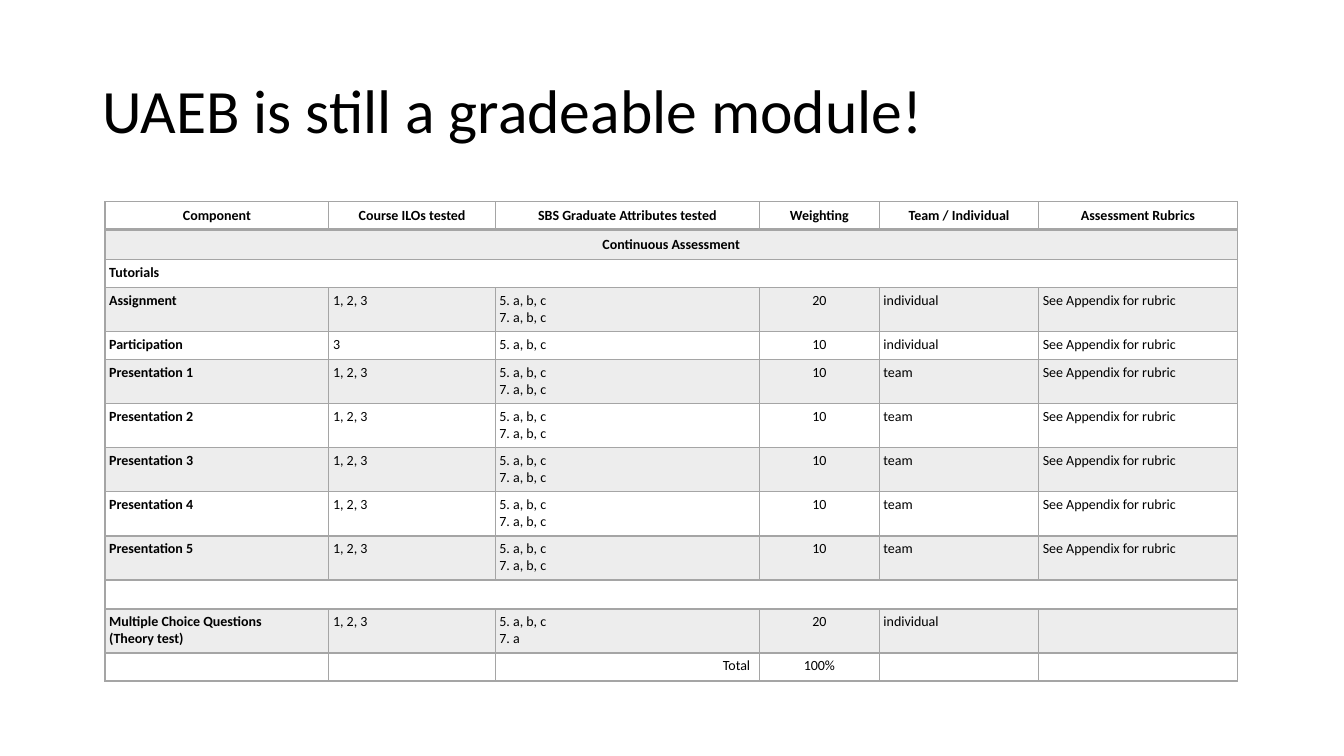
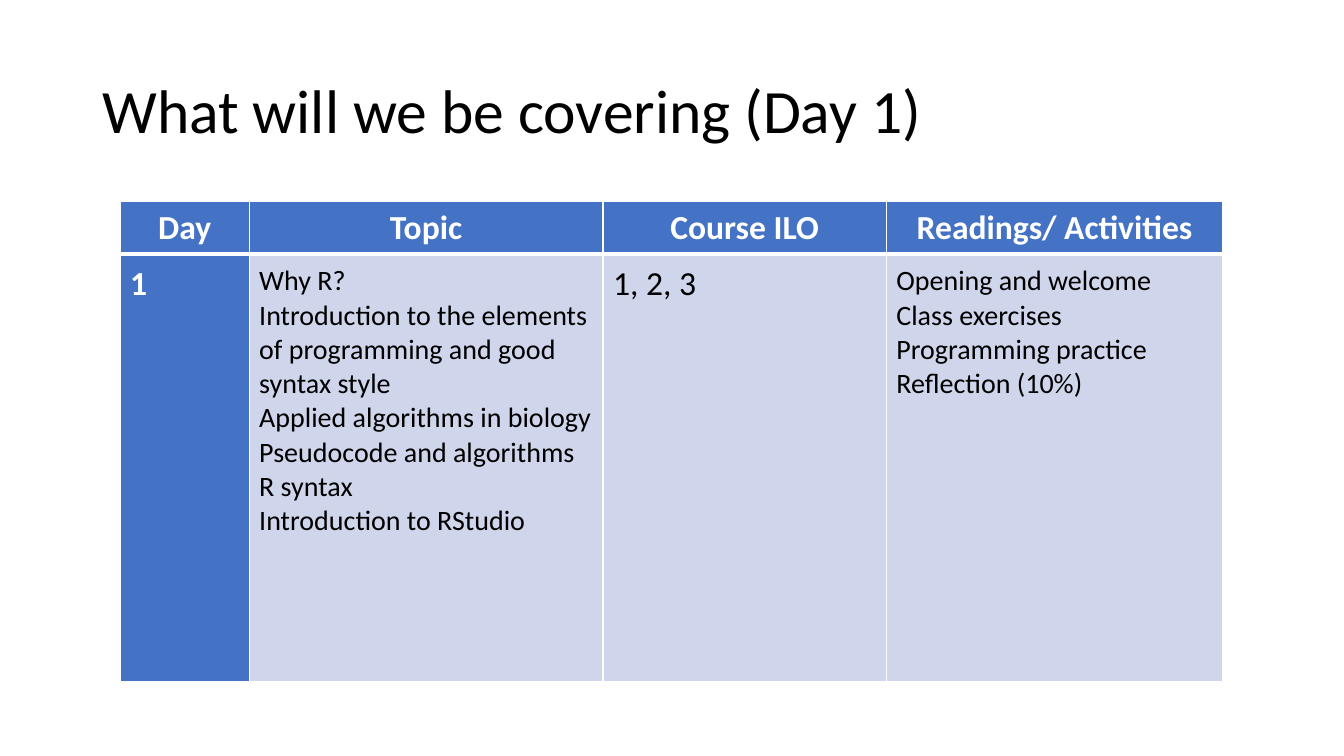
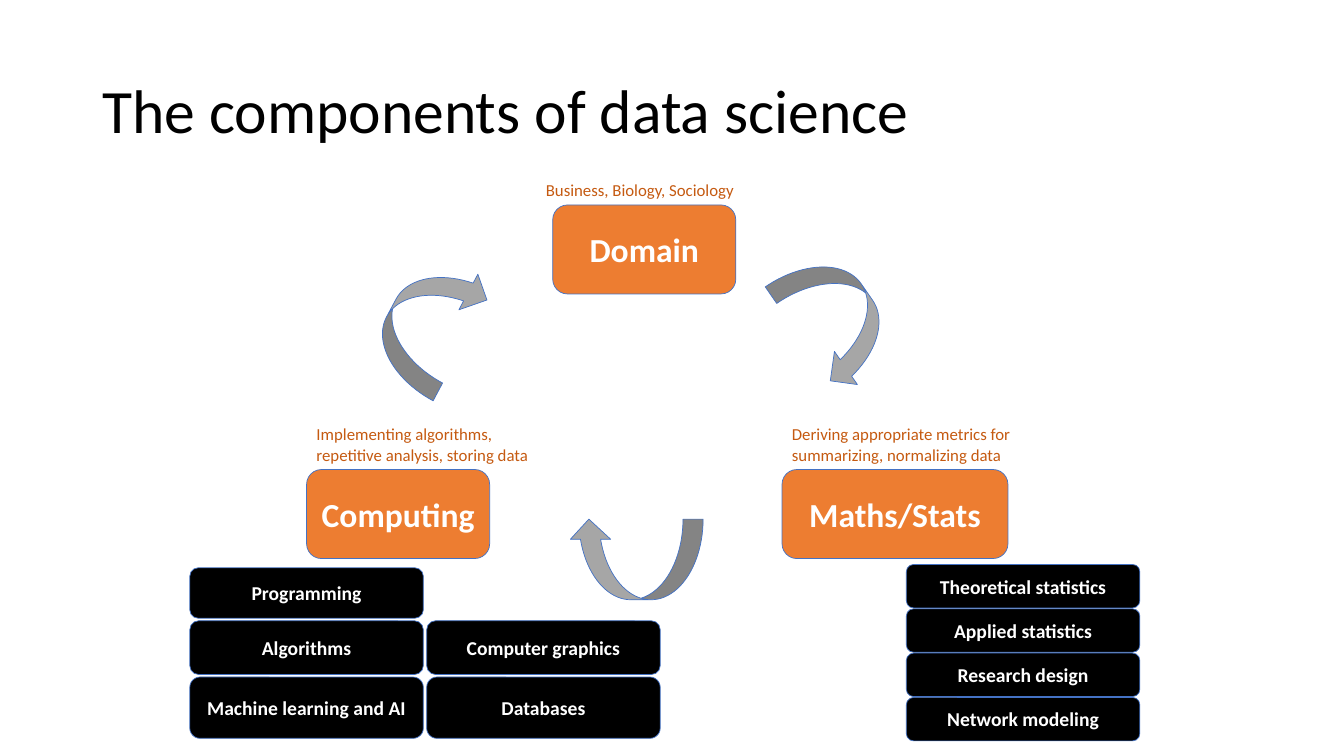
from lxml.etree import SubElement
from pptx import Presentation
from pptx.dml.color import RGBColor
from pptx.enum.shapes import MSO_SHAPE as Preset
from pptx.enum.text import MSO_ANCHOR as Anchor, PP_ALIGN as Align
from pptx.oxml.ns import qn
from pptx.util import Emu, Inches, Pt

SLIDE_W, SLIDE_H = Inches(13.333), Inches(7.5)
GRID_ROWS = 90
UNIT = SLIDE_H / GRID_ROWS

FONT = "Calibri"
BLACK = RGBColor(0x00, 0x00, 0x00)
WHITE = RGBColor(0xFF, 0xFF, 0xFF)
BLUE = RGBColor(0x44, 0x72, 0xC4)
PALE_BLUE = RGBColor(0xCF, 0xD5, 0xEA)
ORANGE = RGBColor(0xED, 0x7D, 0x31)
RUST = RGBColor(0xC5, 0x5A, 0x11)
GREY = RGBColor(0xA5, 0xA5, 0xA5)
ARROW_GREY = RGBColor(0xA6, 0xA6, 0xA6)
PALE_GREY = RGBColor(0xED, 0xED, 0xED)

TITLE_BOX = (11, 4.8, 138, 17.4)
ASSESSMENT_BOX = (12.5, 24, 134.8, 57.1)
DAY_BOX = (14.3, 24, 131.3, 57.1)

BOTH_GOALS = "5. a, b, c\n7. a, b, c"
RUBRIC = "See Appendix for rubric"
ASSESSMENT_COLS = (2.22, 1.65, 2.62, 1.19, 1.58, 1.97)
ASSESSMENT_ROWS = [
    (0.28, ("Component", "Course ILOs tested", "SBS Graduate Attributes tested",
            "Weighting", "Team / Individual", "Assessment Rubrics")),
    (0.3, ("Continuous Assessment",)),
    (0.28, ("Tutorials",)),
    (0.44, ("Assignment", "1, 2, 3", BOTH_GOALS, "20", "individual", RUBRIC)),
    (0.28, ("Participation", "3", "5. a, b, c", "10", "individual", RUBRIC)),
    *[(0.44, (f"Presentation {number}", "1, 2, 3", BOTH_GOALS, "10", "team", RUBRIC))
      for number in range(1, 6)],
    (0.29, ("",)),
    (0.44, ("Multiple Choice Questions\n(Theory test)", "1, 2, 3",
            "5. a, b, c\n7. a", "20", "individual", "")),
    (0.28, ("", "", "Total", "100%", "", "")),
]

DAY_COLS = (1.28, 3.51, 2.81, 3.34)
DAY_HEADINGS = ("Day", "Topic", "Course ILO", "Readings/ Activities")
DAY_ENTRIES = (
    ("1", 24),
    ("Why R?\nIntroduction to the elements of programming and good syntax style\n"
     "Applied algorithms in biology\nPseudocode and algorithms\nR syntax\n"
     "Introduction to RStudio", 20),
    ("1, 2, 3", 24),
    ("Opening and welcome\nClass exercises\nProgramming practice\nReflection (10%)", 20),
)

HUBS = (
    ((65.8, 24.4, 21.8, 10.6), "Domain", "Business, Biology, Sociology", (-2, 25.6, 3.6)),
    ((36.5, 55.9, 21.8, 10.6), "Computing",
     "Implementing algorithms, repetitive analysis, storing data", (0, 29.3, 6)),
    ((93.1, 55.9, 26.9, 10.6), "Maths/Stats",
     "Deriving appropriate metrics for summarizing, normalizing data", (0, 31.2, 6)),
)
CYCLE_ARROWS = ((91.6, 33.2, 55.3), (67.7, 61.8, 180), (43.1, 33.6, 298.1))
TOPIC_STACKS = (
    ((107.9, 67.2, 27.8, 21), 0.1,
     (("Theoretical statistics", 1), ("Applied statistics", 1),
      ("Research design", 1), ("Network modeling", 1))),
    ((22.6, 67.6, 27.8, 20.3), 0.3,
     (("Programming", 6), ("Algorithms", 6.4), ("Machine learning and AI", 7.3))),
    ((50.8, 73.9, 27.8, 14), 0.3, (("Computer graphics", 6.4), ("Databases", 7.3))),
)


def grid(*lengths):
    """Turn grid units into slide lengths."""
    return [Emu(round(length * UNIT)) for length in lengths]


def style(target, **values):
    """Set each given format value on the target."""
    for attribute, value in values.items():
        setattr(target, attribute, value)


def write(frame, text, size, color, bold=False, **paragraph_format):
    """Fill a text frame with one paragraph for each line."""
    frame.text = text
    for paragraph in frame.paragraphs:
        style(paragraph, **paragraph_format)
        for run in paragraph.runs:
            style(run.font, name=FONT, size=Pt(size), bold=bold)
            run.font.color.rgb = color
        if not paragraph.runs:
            SubElement(paragraph._p, qn("a:endParaRPr"), sz=str(size * 100))


def add_text(slide, box, text, size, color, wrap=True, anchor=Anchor.TOP, **paragraph_format):
    """Place plain text in a box."""
    frame = slide.shapes.add_textbox(*grid(*box)).text_frame
    style(frame, word_wrap=wrap, vertical_anchor=anchor)
    write(frame, text, size, color, **paragraph_format)


def add_preset(slide, preset, box, fill):
    """Place a filled shape with the thin blue outline."""
    shape = slide.shapes.add_shape(preset, *grid(*box))
    shape.shadow.inherit = False
    shape.fill.solid()
    shape.fill.fore_color.rgb = fill
    shape.line.color.rgb = BLUE
    shape.line.width = Pt(0.5)
    return shape


def add_label(slide, box, text, fill, size):
    """Place a rounded box with a bold white label."""
    frame = add_preset(slide, Preset.ROUNDED_RECTANGLE, box, fill).text_frame
    style(frame, word_wrap=True, vertical_anchor=Anchor.MIDDLE)
    write(frame, text, size, WHITE, True, alignment=Align.CENTER)


def add_grid_table(slide, box, column_shares, row_shares):
    """Place a table whose columns and rows share the box."""
    frame = slide.shapes.add_table(len(row_shares), len(column_shares), *grid(*box))
    table = frame.table
    style(table, first_row=False, horz_banding=False)
    for column, share in zip(table.columns, column_shares):
        column.width, = grid(box[2] * share / sum(column_shares))
    for row, share in zip(table.rows, row_shares):
        row.height, = grid(box[3] * share / sum(row_shares))
    return table


def paint_cell(cell, fill, border, top, bottom, margin):
    """Give a cell its borders, fill and margins."""
    properties = cell._tc.get_or_add_tcPr()
    for side, width in (("L", 1), ("R", 1), ("T", top), ("B", bottom)):
        line = SubElement(properties, qn(f"a:ln{side}"), w=str(Pt(width)))
        SubElement(SubElement(line, qn("a:solidFill")), qn("a:srgbClr"), val=str(border))
    cell.fill.solid()
    cell.fill.fore_color.rgb = fill
    inset, = grid(margin)
    style(cell, **{f"margin_{side}": inset for side in ("left", "right", "top", "bottom")})


def assessment_table(slide, box):
    """Place the table of graded components."""
    table = add_grid_table(slide, box, ASSESSMENT_COLS, [share for share, _ in ASSESSMENT_ROWS])
    for r, (_, texts) in enumerate(ASSESSMENT_ROWS):
        for c in range(len(ASSESSMENT_COLS)):
            paint_cell(table.cell(r, c), PALE_GREY if r % 2 else WHITE, GREY,
                       2 if r == 1 else 1, 2 if r == 0 else 1, 0.5)
        if len(texts) == 1:
            table.cell(r, 0).merge(table.cell(r, len(ASSESSMENT_COLS) - 1))
        for c, text in enumerate(texts):
            cell = table.cell(r, c)
            align = Align.CENTER if r < 2 or c == 3 else Align.LEFT
            if text == "Total":
                align = Align.RIGHT
                cell.margin_right, = grid(1.1)
            cell.vertical_anchor = Anchor.MIDDLE if r < 2 else Anchor.TOP
            write(cell.text_frame, text, 10, BLACK, r == 0 or c == 0, alignment=align)


def day_table(slide, box):
    """Place the plan of the day."""
    table = add_grid_table(slide, box, DAY_COLS, (0.52, 4.24))
    for c, (heading, (entry, size)) in enumerate(zip(DAY_HEADINGS, DAY_ENTRIES)):
        head, body = table.cell(0, c), table.cell(1, c)
        paint_cell(head, BLUE, WHITE, 1, 3, 0.25)
        head.vertical_anchor = Anchor.MIDDLE
        write(head.text_frame, heading, 24, WHITE, True, alignment=Align.CENTER)
        paint_cell(body, PALE_BLUE if c else BLUE, WHITE, 3, 1, 1.2)
        write(body.text_frame, entry, size, BLACK if c else WHITE, c == 0)


def hub(slide, box, name, caption, caption_size):
    """Place a component with its caption resting on top."""
    left, top, _, _ = box
    shift, width, height = caption_size
    add_label(slide, box, name, ORANGE, 24)
    add_text(slide, (left + shift, top - height, width, height), caption, 12, RUST,
             wrap=shift == 0)


def topic_stack(slide, box, gap, topics):
    """Stack topics down a box by their share of its height."""
    left, top, width, height = box
    usable = height - gap * (len(topics) - 1)
    total = sum(share for _, share in topics)
    for topic, share in topics:
        topic_height = usable * share / total
        add_label(slide, (left, top, width, topic_height), topic, BLACK, 14)
        top += topic_height + gap


def component_cycle(slide):
    """Place the components, the arrows between them and their topics."""
    for parts in HUBS:
        hub(slide, *parts)
    for left, top, turn in CYCLE_ARROWS:
        add_preset(slide, Preset.CURVED_DOWN_ARROW, (left, top, 16, 9.6), ARROW_GREY).rotation = turn
    for parts in TOPIC_STACKS:
        topic_stack(slide, *parts)


def titled_slide(deck, title):
    """Add a blank slide with the shared title."""
    slide = deck.slides.add_slide(deck.slide_layouts[6])
    add_text(slide, TITLE_BOX, title, 44, BLACK, anchor=Anchor.MIDDLE, line_spacing=0.9)
    return slide


def main():
    """Build and save the deck."""
    deck = Presentation()
    style(deck, slide_width=SLIDE_W, slide_height=SLIDE_H)
    assessment_table(titled_slide(deck, "UAEB is still a gradeable module!"), ASSESSMENT_BOX)
    day_table(titled_slide(deck, "What will we be covering (Day 1)"), DAY_BOX)
    component_cycle(titled_slide(deck, "The components of data science"))
    deck.save("out.pptx")


if __name__ == "__main__":
    main()
